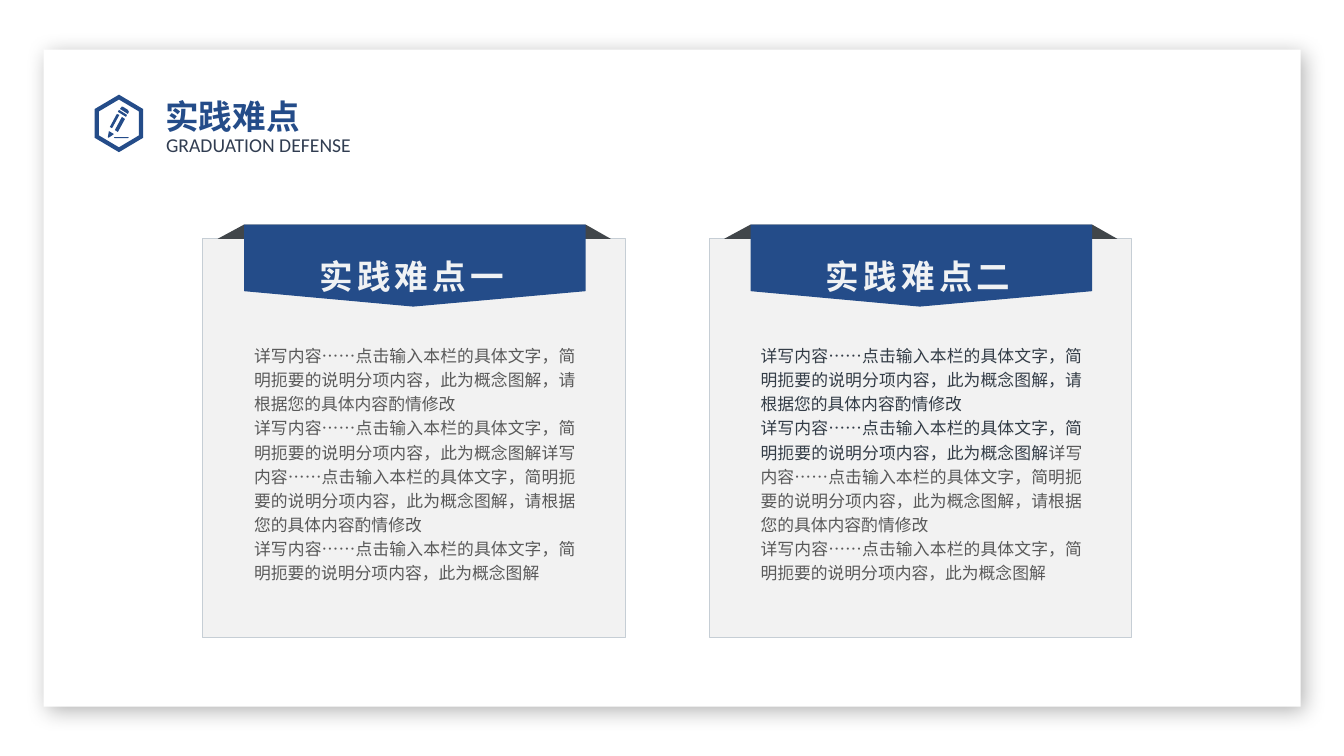
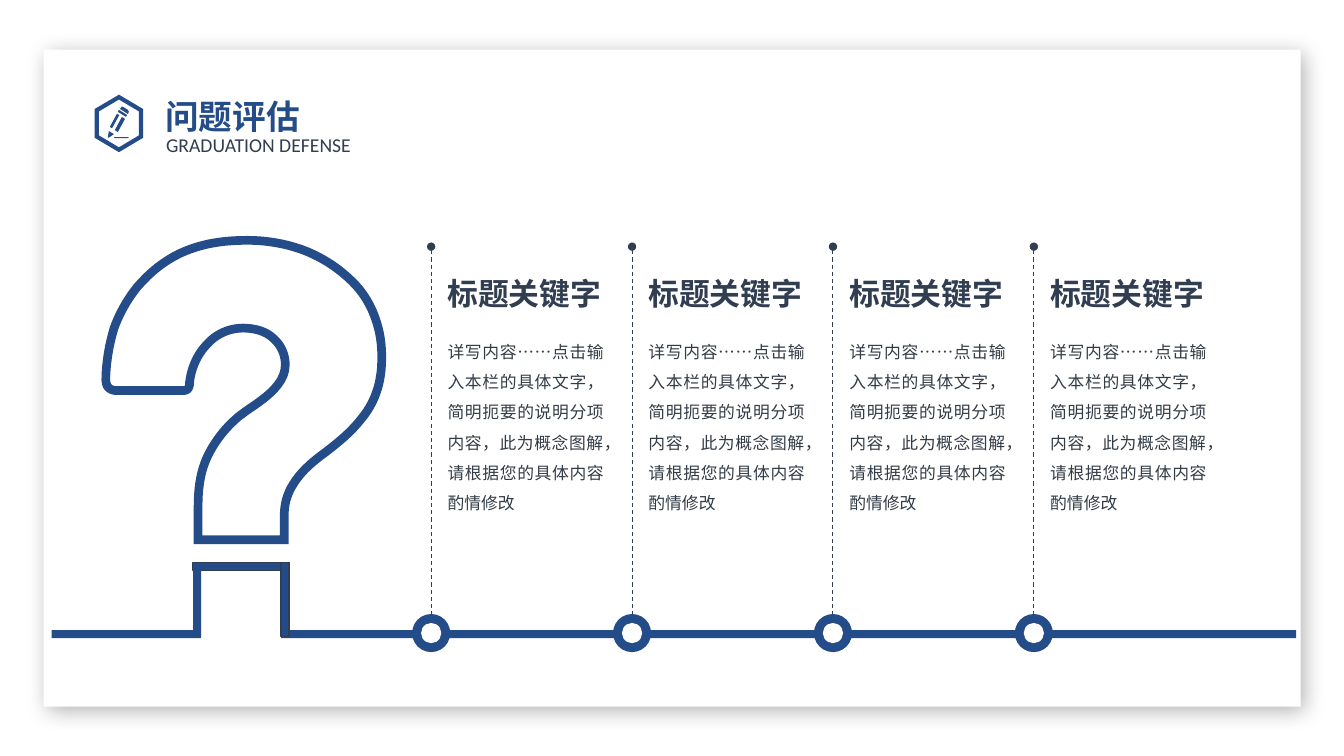
import pptx
import pptx.dml.color
import pptx.enum.dml
import pptx.enum.lang
import pptx.enum.shapes
import pptx.enum.text
import pptx.oxml.ns
import pptx.util
from lxml import etree

Pt = pptx.util.Pt
qn = pptx.oxml.ns.qn
SHAPES = pptx.enum.shapes.MSO_SHAPE
ALIGN = pptx.enum.text.PP_ALIGN

BLUE, NAVY, WHITE = "244C89", "313D51", "FFFFFF"
CARD_FILL, CARD_LINE, FOLD, PALE = "F2F2F2", "C6CED5", "41464A", "F0F2F4"
GRAY, SLATE = "595959", "333C46"
CJK, TITLE_FONT, LATIN = "Noto Sans CJK SC", "Lato", "Calibri"
DEFAULT_INSETS = (7.2, 3.6, 7.2, 3.6)
NO_INSETS = (0, 0, 0, 0)

SHORT = "详写内容……点击输入本栏的具体文字，简明扼要的说明分项内容，此为概念图解"
LONG = SHORT + "，请根据您的具体内容酌情修改"

HEXAGON = [(85, 69.4), (100.8, 78.8), (100.8, 97.6), (85, 107),
           (69.1, 97.6), (69.1, 78.8)]
PENCIL_PARTS = [
    [(82, 97.9), (91.4, 97.9), (92, 98.3), (91.4, 98.7), (82, 98.7), (81.4, 98.3)],
    [(82.1, 92.9), (87.1, 83.5), (89.3, 85), (84.2, 94.3)],
    [(78.5, 90.7), (83.5, 81.4), (85.3, 82.1), (80.1, 91.6)],
    [(77, 98.1), (77.8, 93.6), (81.4, 95.8), (77.6, 98.4)],
    [(85, 78.5), (84.2, 79.9), (90, 83.5), (90.7, 82.1)],
    [(86.4, 77), (87, 76.2), (87.9, 76.3), (91.4, 78.5), (92.1, 79.9),
     (91.4, 81.4), (85.7, 77.8)],
]

# A pair is a corner; six numbers are a Bézier segment's two controls and end.
QUESTION_MARK = [
    (131, 279), (82.8, 279),
    (80.6, 279, 78.5, 277.9, 77.4, 276.8),
    (76.3, 275.8, 75.6, 273.6, 75.6, 270.7),
    (75.6, 263.5, 77, 249.1, 81.4, 234.7),
    (85, 224.6, 90.4, 214.6, 97.9, 205.2),
    (109.8, 191.2, 123.1, 182.5, 136.4, 177.8),
    (150.5, 172.8, 164.2, 171.7, 177.1, 171.7),
    (188.3, 171.7, 204.5, 173.5, 220, 180),
    (231.8, 185, 243.7, 192.6, 254.2, 203.8),
    (261.7, 212, 266.4, 221.4, 269.3, 231.1),
    (272.9, 242.6, 273.2, 254.9, 272.2, 265.3),
    (270.7, 279, 265.7, 290.2, 258.1, 299.2),
    (250.6, 308.9, 241.2, 316.4, 231.8, 323.6),
    (220.3, 331.9, 213.5, 339.1, 209.2, 346.3),
    (204.5, 353.9, 203, 361.1, 203, 369.4),
    (203, 385.6), (141.5, 385.6), (141.5, 362.2),
    (141.5, 347, 143.6, 335.2, 148.7, 325.1),
    (153.7, 315, 160.6, 306, 170.3, 297.7),
    (173.2, 295.6, 176.8, 292.7, 180.4, 290.5),
    (191.2, 283, 203.8, 273.6, 203.8, 260.6),
    (203.8, 253.4, 200.9, 246.6, 195.1, 241.6),
    (190.1, 236.9, 182.5, 234.4, 173.5, 234.4),
    (164.2, 234.4, 154.8, 238.3, 148.3, 245.5),
    (141.5, 252.4, 136.8, 261.7, 135.4, 273.2),
    (135.4, 274.3, 135.4, 276.1, 134.6, 277.2),
    (133.9, 278.5, 132.5, 279, 131, 279),
]


def color(value):
    return pptx.dml.color.RGBColor.from_string(value)


def set_values(target, values):
    for name, value in values.items():
        setattr(target, name, value)


def paint(shape, fill=None, line=None, width=0.75):
    shape.shadow.inherit = False
    if fill:
        shape.fill.solid()
        shape.fill.fore_color.rgb = color(fill)
    else:
        shape.fill.background()
    if line:
        shape.line.color.rgb = color(line)
        shape.line.width = Pt(width)
    else:
        shape.line.fill.background()
    return shape


def add_preset(slide, kind, box, **style):
    return paint(slide.shapes.add_shape(kind, *map(Pt, box)), **style)


def add_outline(slide, points, **style):
    """Draw a closed outline with sharp corners."""
    corners = [(Pt(x), Pt(y)) for x, y in points]
    builder = slide.shapes.build_freeform(*corners[0], scale=1.0)
    builder.add_line_segments(corners[1:], close=True)
    shape = paint(builder.convert_to_shape(), **style)
    if style.get("line"):
        etree.SubElement(shape.line._get_or_add_ln(), qn("a:miter"), lim="800000")
    return shape


def flatten(segments, steps=10):
    """Turn corners and Bézier segments into a list of points."""
    points = []
    for segment in segments:
        if len(segment) == 2:
            points.append(segment)
            continue
        controls = [points[-1], segment[0:2], segment[2:4], segment[4:6]]
        for step in range(1, steps + 1):
            t = step / steps
            weights = ((1 - t) ** 3, 3 * t * (1 - t) ** 2, 3 * t * t * (1 - t), t ** 3)
            points.append(tuple(
                sum(weight * point[axis] for weight, point in zip(weights, controls))
                for axis in (0, 1)))
    return points


def add_text(slide, box, paragraphs, size, font, bold=False, spacing=1.2,
             align=ALIGN.LEFT, insets=DEFAULT_INSETS, tracking=0, wrap=True):
    """Add a text box; each paragraph is a list of (text, colour) runs."""
    frame = slide.shapes.add_textbox(*map(Pt, box)).text_frame
    frame.word_wrap = wrap
    sides = ("margin_left", "margin_top", "margin_right", "margin_bottom")
    set_values(frame, dict(zip(sides, map(Pt, insets))))
    for index, runs in enumerate(paragraphs):
        paragraph = frame.add_paragraph() if index else frame.paragraphs[0]
        set_values(paragraph, {"alignment": align, "line_spacing": spacing})
        for text, text_color in runs:
            run = paragraph.add_run()
            run.text = text
            set_values(run.font, {
                "size": Pt(size), "bold": bold, "name": font,
                "language_id": pptx.enum.lang.MSO_LANGUAGE_ID.SIMPLIFIED_CHINESE})
            run.font.color.rgb = color(text_color)
            properties = run._r.get_or_add_rPr()
            etree.SubElement(properties, qn("a:ea"), typeface=font)
            if tracking:
                properties.set("spc", str(tracking * 100))


def add_soft_shadow(shape):
    effects = shape._element.spPr.find(qn("a:effectLst"))
    shadow = etree.SubElement(
        effects, qn("a:outerShdw"), blurRad=str(Pt(15)), dist=str(Pt(5)),
        dir=str(45 * 60000), algn="tl", rotWithShape="0")
    black = etree.SubElement(shadow, qn("a:srgbClr"), val="000000")
    etree.SubElement(black, qn("a:alpha"), val="30000")


def add_dashed_pin(slide, x, top, bottom):
    """Add a dashed vertical line that starts with a dot."""
    pin = slide.shapes.add_connector(
        pptx.enum.shapes.MSO_CONNECTOR.STRAIGHT, Pt(x), Pt(top), Pt(x), Pt(bottom))
    pin.line.color.rgb = color(NAVY)
    set_values(pin.line, {"width": Pt(0.75),
                          "dash_style": pptx.enum.dml.MSO_LINE.DASH})
    etree.SubElement(pin.line._get_or_add_ln(), qn("a:headEnd"), type="oval")
    etree.SubElement(pin._element.spPr, qn("a:effectLst"))


def add_framed_slide(presentation, title):
    slide = presentation.slides.add_slide(presentation.slide_layouts[6])
    panel = add_preset(slide, SHAPES.RECTANGLE, (31.2, 35.4, 897.8, 469.4), fill=WHITE)
    add_soft_shadow(panel)
    add_outline(slide, HEXAGON, line=BLUE, width=3)
    for part in PENCIL_PARTS:
        add_outline(slide, part, fill=BLUE)
    add_text(slide, (118.7, 88.7, 156.2, 24.5), [[("GRADUATION DEFENSE", NAVY)]],
             14, LATIN, spacing=Pt(23), insets=(0, 0, 0, 3.6))
    add_text(slide, (111, 59, 286, 36), [[(title, BLUE)]], 24, TITLE_FONT, bold=True)
    return slide


def add_ribbon_card(slide, left, heading, paragraphs):
    top, card_top = 160.4, 170.6
    add_preset(slide, SHAPES.RECTANGLE, (left, card_top, 301.9, 284.6),
               fill=CARD_FILL, line=CARD_LINE)
    ribbon_left, ribbon_right = left + 29.7, left + 273.6
    add_outline(slide, [(ribbon_left, top), (ribbon_right, top),
                        (left + 291.6, card_top), (left + 10.8, card_top)], fill=FOLD)
    add_outline(slide, [(ribbon_left, top), (ribbon_right, top), (ribbon_right, 208),
                        (left + 150.5, 219), (ribbon_left, 208)], fill=BLUE)
    add_text(slide, (left + 76.3, 173.5, 151.2, 39), [[(heading, PALE)]], 24, CJK,
             bold=True, tracking=3, wrap=False)
    add_text(slide, (ribbon_left, 240.5, 244, 234), paragraphs, 12, CJK,
             align=ALIGN.JUSTIFY)


def add_milestone(slide, x):
    for diameter, fill in ((27.2, BLUE), (14.4, WHITE)):
        add_preset(slide, SHAPES.OVAL,
                   (x - diameter / 2, 452.2 - diameter / 2, diameter, diameter),
                   fill=fill)
    add_dashed_pin(slide, x, 176.2, 438.6)
    add_text(slide, (x + 11.7, 190.8, 111.8, 30), [[("标题关键字", NAVY)]], 22, CJK,
             bold=True, insets=NO_INSETS)
    add_text(slide, (x + 11.7, 236.9, 111.8, 131), [[(LONG, SLATE)]], 12, CJK,
             spacing=1.5, align=ALIGN.JUSTIFY, insets=NO_INSETS)


def build_difficulties(presentation):
    slide = add_framed_slide(presentation, "实践难点")
    cards = (("实践难点一", GRAY), ("实践难点二", SLATE))
    for index, (heading, lead) in enumerate(cards):
        add_ribbon_card(slide, 144.7 + 361.8 * index, heading, [
            [(LONG, lead)], [(SHORT, lead), (LONG, GRAY)], [(SHORT, GRAY)]])


def build_evaluation(presentation):
    slide = add_framed_slide(presentation, "问题评估")
    add_outline(slide, flatten(QUESTION_MARK), line=BLUE, width=6.2)
    bar = 5.8
    bars = (((36.9, 450, 106.6, bar), None),
            ((200.9, 450, 725, bar), None),
            ((137.9, 401.8, 68.7, bar), NAVY),
            ((137.9, 402, bar, 52.6), None),
            ((200.7, 402, bar, 52.6), NAVY))
    for box, line in bars:
        add_preset(slide, SHAPES.RECTANGLE, box, fill=BLUE, line=line, width=1)
    for index in range(4):
        add_milestone(slide, 308 + 143.5 * index)


def main():
    presentation = pptx.Presentation()
    set_values(presentation, {"slide_width": Pt(960), "slide_height": Pt(540)})
    build_difficulties(presentation)
    build_evaluation(presentation)
    presentation.save("out.pptx")


if __name__ == "__main__":
    main()
